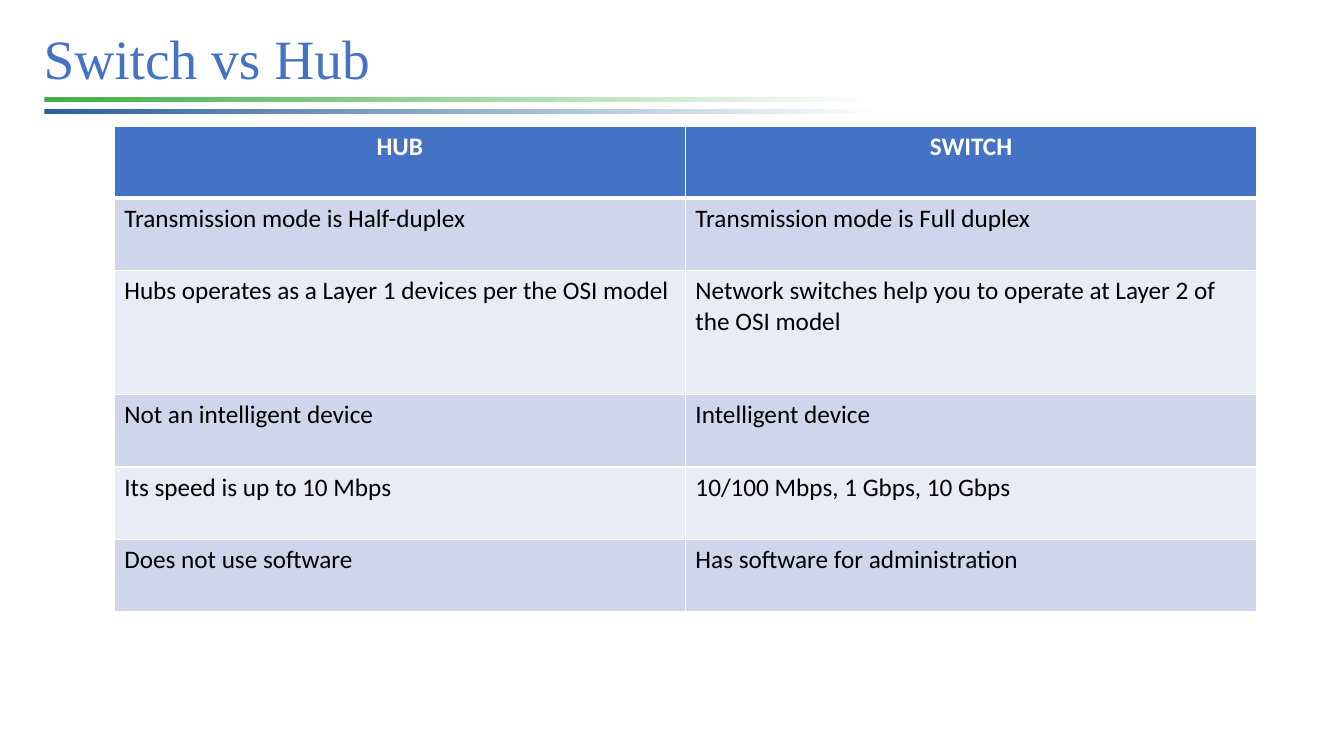
from dataclasses import dataclass

from lxml import etree
from pptx import Presentation
from pptx.dml.color import RGBColor
from pptx.enum.shapes import MSO_SHAPE
from pptx.enum.text import MSO_ANCHOR, PP_ALIGN
from pptx.oxml.ns import qn
from pptx.util import Inches, Pt

RECT = MSO_SHAPE.RECTANGLE
LOW = MSO_ANCHOR.BOTTOM
LEFT, MID = PP_ALIGN.LEFT, PP_ALIGN.CENTER
WIDE, HIGH = 13.33, 7.5


@dataclass(frozen=True)
class Theme:
    """Colours, fonts and sizes of the slide."""
    blue: str = "4472C4"
    green: str = "3FAF46"
    navy: str = "2A6099"
    white: str = "FFFFFF"
    black: str = "000000"
    bands: tuple = ("E9EBF5", "CFD5EA")
    serif: str = "Times New Roman"
    sans: str = "Calibri"
    head: float = 39.6
    body: float = 18
    thin: float = 1
    thick: float = 3


THEME = Theme()
TITLE = "Switch vs Hub"
ROWS = (
    ("HUB", "SWITCH"),
    ("Transmission mode is Half-duplex", "Transmission mode is Full duplex"),
    ("Hubs operates as a Layer 1 devices per the OSI model",
     "Network switches help you to operate at Layer 2 of the OSI model"),
    ("Not an intelligent device", "Intelligent device"),
    ("Its speed is up to 10 Mbps", "10/100 Mbps, 1 Gbps, 10 Gbps"),
    ("Does not use software", "Has software for administration"),
)
SHARES = (7, 7, 12, 7, 7, 7)


def rgb(code):
    """Turn a hex code into a colour."""
    return RGBColor.from_string(code)


def write(frame, text, face, size, tint, bold=False, align=LEFT):
    """Fill a text frame with one styled paragraph."""
    frame.text = text
    para = frame.paragraphs[0]
    para.alignment = align
    font = para.runs[0].font
    font.name, font.size, font.bold = face, Pt(size), bold
    font.color.rgb = rgb(tint)
    return para


def title(slide, box):
    """Place the heading at the foot of its box."""
    frame = slide.shapes.add_textbox(*map(Inches, box)).text_frame
    frame.word_wrap = True
    frame.vertical_anchor = LOW
    para = write(frame, TITLE, THEME.serif, THEME.head, THEME.blue)
    para.line_spacing = 0.9


def rules(slide, box):
    """Draw two fading bars, one at each edge of the box."""
    left, top, width, height = box
    thick = height * 0.3
    bars = ((THEME.green, 0, 0.99), (THEME.navy, height - thick, 1))
    for tint, drop, share in bars:
        place = left, top + drop, width * share, thick
        bar = slide.shapes.add_shape(RECT, *map(Inches, place))
        bar.shadow.inherit = False
        bar.line.fill.background()
        bar.fill.gradient()
        bar.fill.gradient_angle = 0
        for stop, code in zip(bar.fill.gradient_stops, (tint, THEME.white)):
            stop.color.rgb = rgb(code)


def edge(cell, side, width):
    """Add a white border to one side of a cell."""
    props = cell._tc.get_or_add_tcPr()
    line = etree.SubElement(props, qn("a:ln" + side), w=str(Pt(width)))
    fill = etree.SubElement(line, qn("a:solidFill"))
    etree.SubElement(fill, qn("a:srgbClr"), val=THEME.white)


def grid(slide, box):
    """Build the comparison table with a header and banded rows."""
    width, height = box[2:]
    count = len(ROWS[0])
    table = slide.shapes.add_table(len(ROWS), count, *map(Inches, box)).table
    for col in table.columns:
        col.width = Inches(width / count)
    for r, texts in enumerate(ROWS):
        table.rows[r].height = Inches(height * SHARES[r] / sum(SHARES))
        head = r == 0
        back = THEME.blue if head else THEME.bands[r % 2]
        tint = THEME.white if head else THEME.black
        for c, text in enumerate(texts):
            cell = table.cell(r, c)
            for side in "LRTB":
                heavy = (r, side) in ((0, "B"), (1, "T"))
                edge(cell, side, THEME.thick if heavy else THEME.thin)
            cell.fill.solid()
            cell.fill.fore_color.rgb = rgb(back)
            write(cell.text_frame, text, THEME.sans, THEME.body, tint,
                  head, MID if head else LEFT)


def main():
    """Compose the slide and save it."""
    deck = Presentation()
    deck.slide_width, deck.slide_height = Inches(WIDE), Inches(HIGH)
    slide = deck.slides.add_slide(deck.slide_layouts[6])
    side = WIDE * 0.025
    title(slide, (side, 0.21, WIDE - 2 * side, HIGH * 0.1))
    rules(slide, (0.44, 0.96, 8.34, 0.17))
    grid(slide, (WIDE * 0.085, HIGH / 6, WIDE * 0.85, 4.82))
    deck.save("out.pptx")


main()
